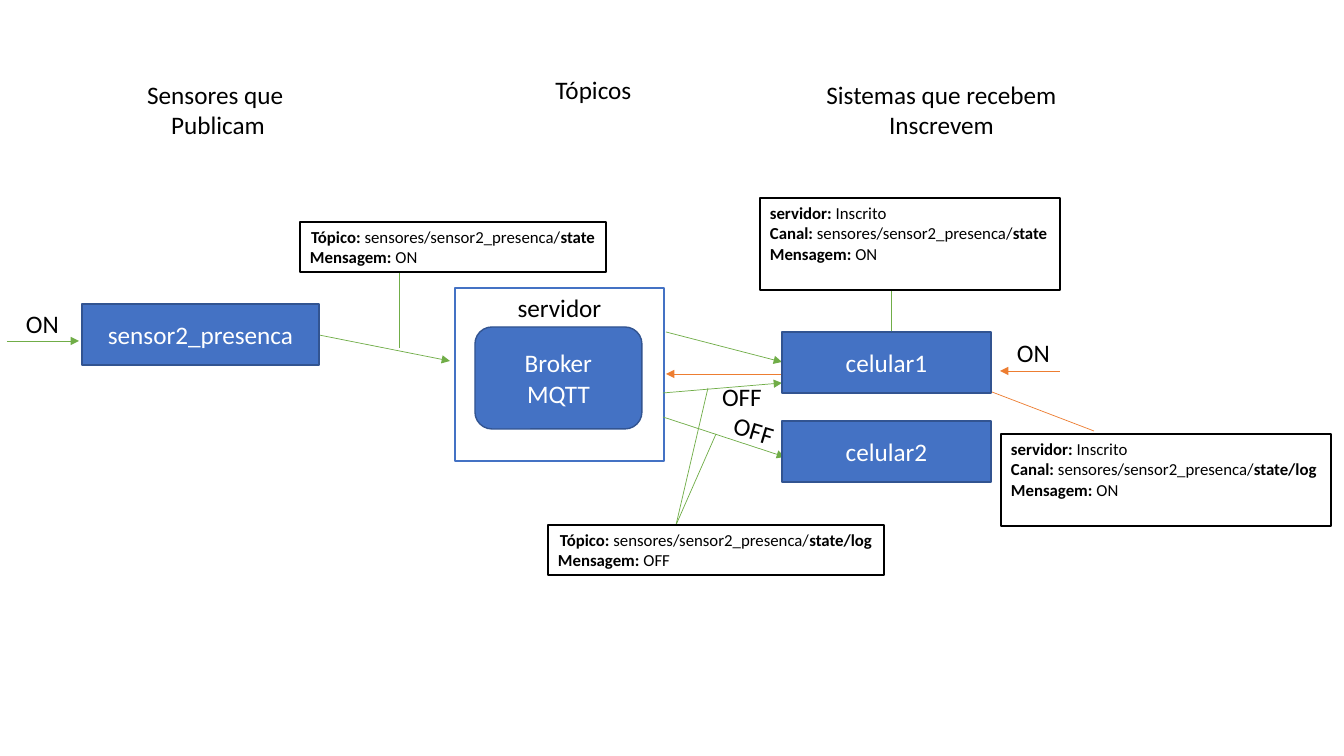
"""Build a slide on MQTT messages passing between a sensor, a broker and two phones."""
from dataclasses import dataclass

from lxml import etree
from pptx import Presentation
from pptx.dml.color import RGBColor
from pptx.enum.shapes import MSO_CONNECTOR, MSO_SHAPE
from pptx.enum.text import MSO_ANCHOR, PP_ALIGN
from pptx.oxml.ns import qn
from pptx.util import Pt

RECTANGLE, ROUNDED = MSO_SHAPE.RECTANGLE, MSO_SHAPE.ROUNDED_RECTANGLE
STRAIGHT = MSO_CONNECTOR.STRAIGHT
LEFT, CENTER = PP_ALIGN.LEFT, PP_ALIGN.CENTER
TOP, MIDDLE = MSO_ANCHOR.TOP, MSO_ANCHOR.MIDDLE
EMU_PER_PIXEL = 914400 / 100.8


@dataclass(frozen=True)
class Theme:
    font: str = "Calibri"
    body: int = 18
    note: int = 12
    outline: float = 1
    thin: float = 0.5
    black: RGBColor = RGBColor(0x00, 0x00, 0x00)
    white: RGBColor = RGBColor(0xFF, 0xFF, 0xFF)
    blue: RGBColor = RGBColor(0x44, 0x72, 0xC4)
    navy: RGBColor = RGBColor(0x32, 0x54, 0x91)
    green: RGBColor = RGBColor(0x70, 0xAD, 0x47)
    orange: RGBColor = RGBColor(0xED, 0x7D, 0x31)


theme = Theme()
deck = Presentation()
deck.slide_width, deck.slide_height = [round(n * EMU_PER_PIXEL) for n in (1344, 756)]
slide = deck.slides.add_slide(deck.slide_layouts[6])


def add_box(kind, place, fill=None, line=None):
    """Add a shape, or a plain text box when kind is None."""
    place = [round(n * EMU_PER_PIXEL) for n in place]
    if kind is None:
        return slide.shapes.add_textbox(*place)
    box = slide.shapes.add_shape(kind, *place)
    box.shadow.inherit = False
    box.fill.solid()
    box.fill.fore_color.rgb = fill
    box.line.color.rgb = line
    box.line.width = Pt(theme.outline)
    return box


def write(box, lines, size, color, anchor=TOP, wrap=False):
    """Write lines given as (alignment, [(text, bold), ...])."""
    frame = box.text_frame
    frame.word_wrap = wrap
    frame.vertical_anchor = anchor
    for index, (align, spans) in enumerate(lines):
        para = frame.add_paragraph() if index else frame.paragraphs[0]
        para.alignment = align
        for text, bold in spans:
            span = para.add_run()
            span.text = text
            span.font.name = theme.font
            span.font.size = Pt(size)
            span.font.bold = bold
            span.font.color.rgb = color


add_box(RECTANGLE, (455, 288, 209, 173), theme.white, theme.blue)

links = [
    (7, 341, 79, 341, theme.green, True),
    (319, 335, 450, 361, theme.green, True),
    (399, 272, 399, 348, theme.green, False),
    (666, 332, 782, 362, theme.green, True),
    (891, 288, 891, 334, theme.green, False),
    (1060, 371, 1000, 371, theme.orange, True),
    (782, 374, 666, 374, theme.orange, True),
    (663, 417, 785, 457, theme.green, True),
    (992, 392, 1094, 431, theme.orange, False),
    (663, 393, 782, 383, theme.green, True),
    (716, 434, 676, 525, theme.green, False),
    (708, 388, 676, 525, theme.green, False),
]
for *ends, color, arrow in links:
    link = slide.shapes.add_connector(STRAIGHT, *[round(n * EMU_PER_PIXEL) for n in ends])
    link.line.color.rgb = color
    link.line.width = Pt(theme.thin)
    if arrow:
        etree.SubElement(link.line._get_or_add_ln(), qn("a:tailEnd"), type="triangle")
    etree.SubElement(link._element.spPr, qn("a:effectLst"))

blocks = [
    (ROUNDED, (475, 327, 167, 102), ["Broker", "MQTT"]),
    (RECTANGLE, (82, 304, 237, 61), ["sensor2_presenca"]),
    (RECTANGLE, (782, 332, 209, 61), ["celular1"]),
    (RECTANGLE, (782, 421, 209, 61), ["celular2"]),
]
for kind, place, words in blocks:
    block = add_box(kind, place, theme.blue, theme.navy)
    lines = [(CENTER, [(word, False)]) for word in words]
    write(block, lines, theme.body, theme.white, MIDDLE, True)

topic = "sensores/sensor2_presenca/"
notes = [
    ((300, 222, 306, 50), "Tópico: ", "state", "ON"),
    ((548, 525, 336, 50), "Tópico: ", "state/log", "OFF"),
    ((760, 198, 300, 92), "Canal: ", "state", "ON"),
    ((1001, 434, 330, 92), "Canal: ", "state/log", "ON"),
]
for place, label, ending, message in notes:
    note = add_box(RECTANGLE, place, theme.white, theme.black)
    subscribed = label == "Canal: "
    lines = [(LEFT, [("servidor: ", True), ("Inscrito", False)])] if subscribed else []
    lines.append((LEFT if subscribed else CENTER, [(label, True), (topic, False), (ending, True)]))
    lines.append((LEFT, [("Mensagem: ", True), (message, False)]))
    write(note, lines, theme.note, theme.black)

labels = [
    ((136, 74, 164, 72), ["Sensores que ", "Publicam"], 0),
    ((545, 69, 97, 40), ["Tópicos"], 0),
    ((815, 74, 253, 72), ["Sistemas que recebem", "Inscrevem"], 0),
    ((507, 287, 105, 40), ["servidor"], 0),
    ((16, 303, 53, 40), ["ON"], 0),
    ((1007, 332, 53, 40), ["ON"], 0),
    ((712, 376, 60, 40), ["OFF"], 0),
    ((724, 410, 60, 40), ["OFF"], 16.7),
]
for place, words, angle in labels:
    label = add_box(None, place)
    label.rotation = angle
    write(label, [(CENTER, [(word, False)]) for word in words], theme.body, theme.black)

deck.save("out.pptx")
